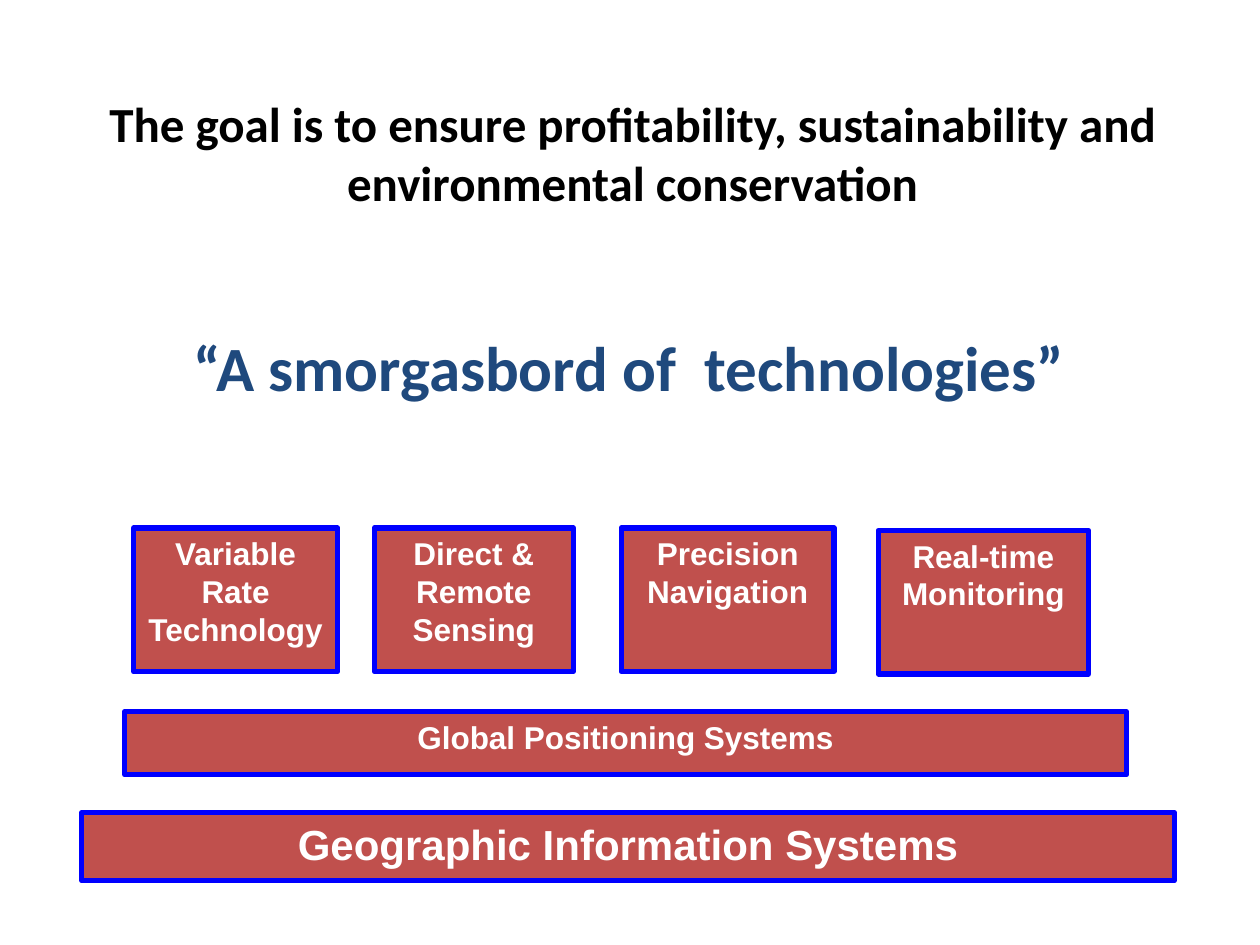
from collections import namedtuple

from pptx import Presentation
from pptx.dml.color import RGBColor
from pptx.enum.shapes import MSO_SHAPE
from pptx.enum.text import MSO_ANCHOR, PP_ALIGN
from pptx.util import Inches, Pt

Box = namedtuple("Box", "left top width height")

COLORS = {
    "goal": "000000",
    "theme": "1F497D",
    "block": "C0504D",
    "border": "0000FF",
    "label": "FFFFFF",
}
SLIDE_WIDTH, SLIDE_HEIGHT = 10, 7.5
COLUMNS, ROWS = 100, 75
COLUMN = SLIDE_WIDTH / COLUMNS
ROW = SLIDE_HEIGHT / ROWS


def color(name):
    return RGBColor.from_string(COLORS[name])


def place(box):
    return (Inches(box.left * COLUMN), Inches(box.top * ROW),
            Inches(box.width * COLUMN), Inches(box.height * ROW))


def write(frame, text, size, fill, font="Arial", align=PP_ALIGN.CENTER,
          anchor=MSO_ANCHOR.TOP, wrap=True):
    frame.word_wrap = wrap
    frame.vertical_anchor = anchor
    paragraph = frame.paragraphs[0]
    paragraph.alignment = align
    run = paragraph.add_run()
    run.text = text
    run.font.name = font
    run.font.size = Pt(size)
    run.font.bold = True
    run.font.color.rgb = color(fill)


def add_goal(slide, box):
    goal = slide.shapes.title
    goal.left, goal.top, goal.width, goal.height = place(box)
    write(goal.text_frame,
          "The goal is to ensure profitability, sustainability and environmental conservation",
          28, "goal", font="Calibri", anchor=MSO_ANCHOR.MIDDLE)


def add_theme(slide, box):
    theme = slide.shapes.add_textbox(*place(box))
    write(theme.text_frame, "“A smorgasbord of  technologies”", 36, "theme",
          font="Calibri", align=PP_ALIGN.LEFT, wrap=False)


def add_block(slide, box, label, size=18):
    block = slide.shapes.add_shape(MSO_SHAPE.RECTANGLE, *place(box))
    block.shadow.inherit = False
    block.fill.solid()
    block.fill.fore_color.rgb = color("block")
    block.line.color.rgb = color("border")
    block.line.width = Pt(3)
    write(block.text_frame, label, size, "label")


def add_technologies(slide, box):
    technologies = [
        ("Variable Rate Technology", 0, 0, 16.2),
        ("Direct & Remote Sensing", 19.1, 0, 15.8),
        ("Precision Navigation", 38.7, 0, 16.9),
        ("Real-time Monitoring", 59.1, 0.2, 16.7),
    ]
    for label, offset, drop, width in technologies:
        add_block(slide, Box(box.left + offset, box.top + drop, width, box.height), label)


def add_foundations(slide, box):
    inset = 3.4
    add_block(slide, Box(box.left + inset, box.top, 79.5, 5), "Global Positioning Systems")
    add_block(slide, Box(box.left, box.top + box.height - 5.4, box.width, 5.4),
              "Geographic Information Systems", size=24)


def main():
    deck = Presentation()
    deck.slide_width, deck.slide_height = Inches(SLIDE_WIDTH), Inches(SLIDE_HEIGHT)
    slide = deck.slides.add_slide(deck.slide_layouts.get_by_name("Title Only"))
    add_goal(slide, Box(2, 3.5, 96.4, 17.2))
    add_theme(slide, Box(14.4, 25.6, 71.9, 7.1))
    add_foundations(slide, Box(6.5, 56.5, 86.7, 13.4))
    add_technologies(slide, Box(10.6, 41.9, 75.8, 11.4))
    deck.save("out.pptx")


if __name__ == "__main__":
    main()
